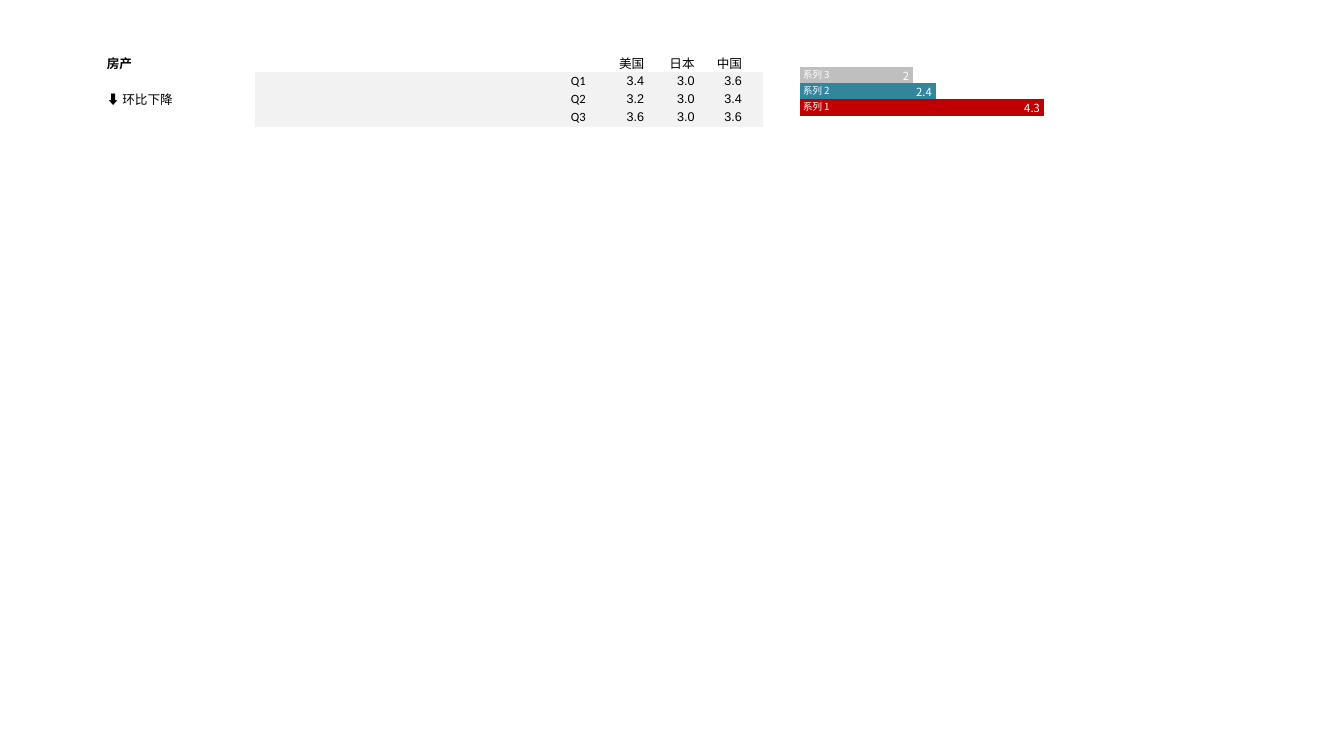
"""Build a slide with a quarterly property table and a small bar chart."""
from lxml.etree import SubElement
from pptx import Presentation
from pptx.chart.data import CategoryChartData
from pptx.dml.color import RGBColor
from pptx.enum.chart import XL_CHART_TYPE, XL_LABEL_POSITION, XL_LEGEND_POSITION
from pptx.enum.text import MSO_ANCHOR, PP_ALIGN
from pptx.oxml import parse_xml
from pptx.oxml.ns import nsdecls, qn
from pptx.util import Inches, Pt

COLORS = {"text": "000000", "white": "FFFFFF", "band": "F2F2F2",
          "red": "C00000", "teal": "31859C", "gray": "BFBFBF"}
CJK = "Noto Sans CJK SC"
NO_STYLE = "{2D5ABB26-0587-4C30-8999-92F81FD0307C}"

TABLE_PLACE = (1.06, 0.53, 6.51, 0.65)
COLUMN_WIDTHS = [1.47, 0.97, 0.53, 1.6, 0.18, 0.58, 0.5, 0.47, 0.21]
ROW_HEIGHTS = [0.16, 0.15, 0.16, 0.17]
QUARTER_COLUMN = 4
HEADING = "房产"
COUNTRIES = ["美国", "日本", "中国"]
QUARTERS = [("Q1", ["3.4", "3.0", "3.6"]),
            ("Q2", ["3.2", "3.0", "3.4"]),
            ("Q3", ["3.6", "3.0", "3.6"])]
TREND = [("⬇", CJK), (" 环比下降", "Calibri")]

CHART_PLACE = (7.8, 0.54, 3.28, 0.73)
SERIES = [("系列 1", 4.3, "red"), ("系列 2", 2.4, "teal"), ("系列 3", 2, "gray")]
PLOT_LAYOUT = {"x": 0.04, "y": 0, "w": 0.86, "h": 1}
LEGEND_LAYOUT = {"x": 0, "y": 0.16, "w": 0.15, "h": 0.68}


def color(name):
    return RGBColor.from_string(COLORS[name])


def set_fonts(properties, latin):
    for tag, face in (("a:latin", latin), ("a:ea", CJK)):
        for old in properties.findall(qn(tag)):
            properties.remove(old)
        SubElement(properties, qn(tag)).set("typeface", face)


def write(cell, spans, bold=False, align=PP_ALIGN.RIGHT):
    para = cell.text_frame.paragraphs[0]
    para.alignment = align
    for text, face in spans:
        span = para.add_run()
        span.text = text
        span.font.size = Pt(9)
        span.font.bold = bold
        span.font.color.rgb = color("text")
        set_fonts(span.font._element, face)


def style_font(font, size, name):
    font.size = Pt(size)
    font.name = CJK
    font.color.rgb = color(name)
    set_fonts(font._element, CJK)


def layout_xml(values, inner=False):
    target = '<c:layoutTarget val="inner"/>' if inner else ""
    modes = "".join(f'<c:{key}Mode val="edge"/>' for key in "xy")
    sizes = "".join(f'<c:{key} val="{value}"/>' for key, value in values.items())
    return parse_xml(f'<c:layout {nsdecls("c")}><c:manualLayout>{target}{modes}{sizes}'
                     '</c:manualLayout></c:layout>')


def place_layout(element, layout, before):
    for old in element.findall(qn("c:layout")):
        element.remove(old)
    element.find(qn(before)).addprevious(layout)


def add_table(page):
    frame = page.shapes.add_table(len(ROW_HEIGHTS), len(COLUMN_WIDTHS),
                                  *map(Inches, TABLE_PLACE))
    table = frame.table
    table.first_row = table.horz_banding = False
    table._tbl.tblPr.find(qn("a:tableStyleId")).text = NO_STYLE
    for column, width in zip(table.columns, COLUMN_WIDTHS):
        column.width = Inches(width)
    for row, height in zip(table.rows, ROW_HEIGHTS):
        row.height = Inches(height)

    write(table.cell(0, 0), [(HEADING, CJK)], bold=True, align=PP_ALIGN.LEFT)
    write(table.cell(2, 0), TREND, align=PP_ALIGN.LEFT)
    for column, country in enumerate(COUNTRIES, QUARTER_COLUMN + 1):
        write(table.cell(0, column), [(country, CJK)])
    for row, (quarter, values) in enumerate(QUARTERS, 1):
        write(table.cell(row, QUARTER_COLUMN), [(quarter, "Calibri")])
        for column, value in enumerate(values, QUARTER_COLUMN + 1):
            write(table.cell(row, column), [(value, "Arial")])

    for row in range(len(ROW_HEIGHTS)):
        for column in range(len(COLUMN_WIDTHS)):
            cell = table.cell(row, column)
            cell.margin_left = cell.margin_right = cell.margin_top = cell.margin_bottom = 0
            cell.vertical_anchor = MSO_ANCHOR.MIDDLE
            if row and column:
                cell.fill.solid()
                cell.fill.fore_color.rgb = color("band")
            else:
                cell.fill.background()
            if not cell.text:
                ending = SubElement(cell.text_frame.paragraphs[0]._p, qn("a:endParaRPr"))
                ending.set("sz", "900")
                set_fonts(ending, CJK)


def add_chart(page):
    data = CategoryChartData()
    data.categories = ["1"]
    for name, value, _ in SERIES:
        data.add_series(name, [value])
    chart = page.shapes.add_chart(XL_CHART_TYPE.BAR_CLUSTERED,
                                  *map(Inches, CHART_PLACE), data).chart
    chart.has_title = False
    style_font(chart.font, 8, "text")
    chart.category_axis.visible = False
    axis = chart.value_axis
    axis.visible = axis.has_major_gridlines = False
    axis.minimum_scale, axis.maximum_scale, axis.major_unit = 0, 5, 1

    plot = chart.plots[0]
    plot.gap_width, plot.overlap, plot.vary_by_categories = 150, 0, False
    for series, (_, _, name) in zip(plot.series, SERIES):
        series.format.fill.background()
        fill = series.points[0].format.fill
        fill.solid()
        fill.fore_color.rgb = color(name)
        labels = series.data_labels
        labels.show_value = True
        labels.position = XL_LABEL_POSITION.INSIDE_END
        style_font(labels.font, 8, "white")

    chart.has_legend = True
    legend = chart.legend
    legend.position = XL_LEGEND_POSITION.RIGHT
    legend.include_in_layout = True
    style_font(legend.font, 7, "white")
    place_layout(legend._element, layout_xml(LEGEND_LAYOUT), "c:overlay")
    place_layout(chart._chartSpace.chart.plotArea, layout_xml(PLOT_LAYOUT, inner=True),
                 "c:barChart")


deck = Presentation()
deck.slide_width, deck.slide_height = Inches(13.33), Inches(7.5)
page = deck.slides.add_slide(deck.slide_layouts[6])
add_chart(page)
add_table(page)
deck.save("out.pptx")
